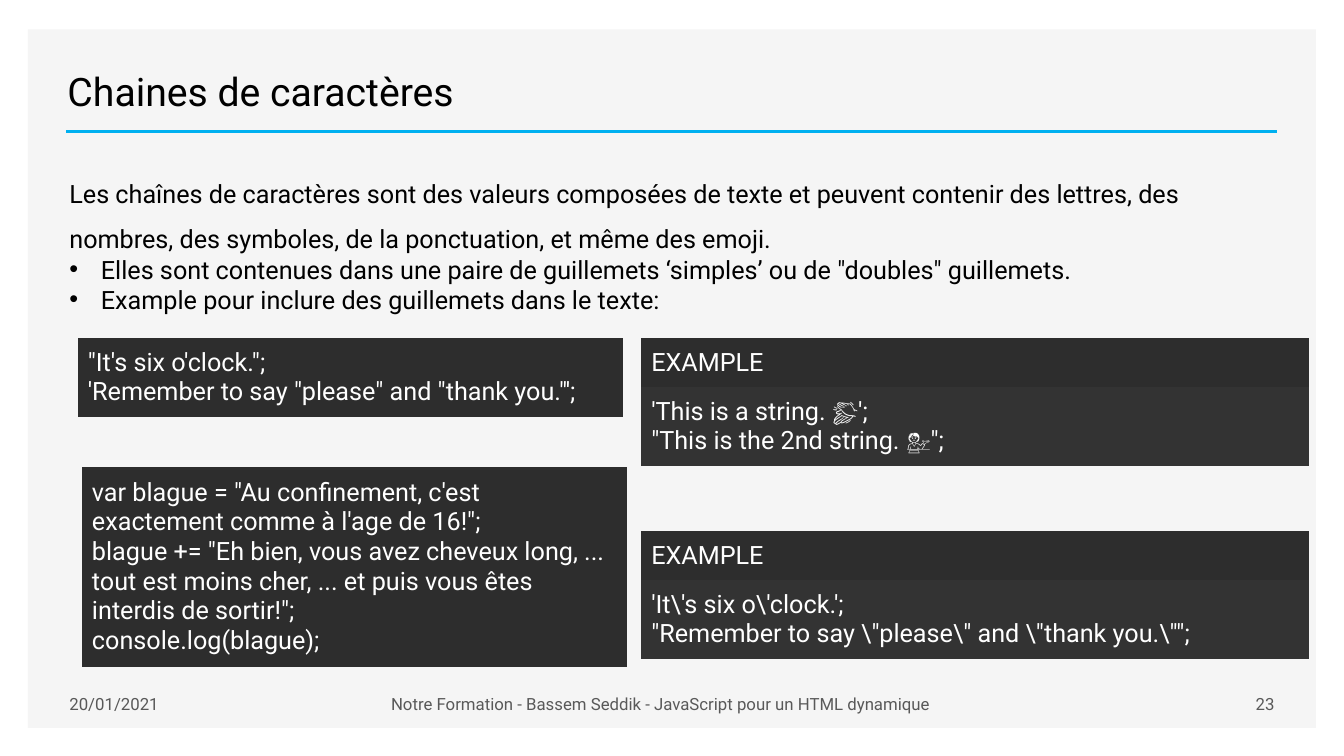
from lxml import etree
from pptx import Presentation
from pptx.dml.color import RGBColor
from pptx.enum.shapes import MSO_CONNECTOR, MSO_SHAPE
from pptx.enum.text import MSO_ANCHOR, MSO_AUTO_SIZE, PP_ALIGN
from pptx.oxml.ns import qn
from pptx.util import Pt

LEFT, MID, RIGHT = PP_ALIGN.LEFT, PP_ALIGN.CENTER, PP_ALIGN.RIGHT
TOP, CENTER, BOTTOM = MSO_ANCHOR.TOP, MSO_ANCHOR.MIDDLE, MSO_ANCHOR.BOTTOM
RECT, LINE = MSO_SHAPE.RECTANGLE, MSO_CONNECTOR.STRAIGHT
NO_FIT = MSO_AUTO_SIZE.NONE

FONT = "Roboto"
PLAIN = "{2D5ABB26-0587-4C30-8999-92F81FD0307C}"
COLORS = {
    "panel": "F5F5F5", "rule": "00B0F0", "ink": "000000", "grey": "595959",
    "white": "FFFFFF", "code": "2D2D2D", "soft": "333333",
}


def tint(name):
    return RGBColor.from_string(COLORS[name])


def write(para, words, size=18, color="ink", align=LEFT, space=1, bullet=False):
    para.text = words
    para.alignment = align
    para.line_spacing = space
    if bullet:
        props = para._p.get_or_add_pPr()
        props.set("marL", str(Pt(22.5)))
        props.set("indent", str(-Pt(22.5)))
        etree.SubElement(props, qn("a:buFont"), typeface="Arial")
        etree.SubElement(props, qn("a:buChar"), char="•")
    for run in para.runs:
        run.font.name = FONT
        run.font.size = Pt(size)
        run.font.color.rgb = tint(color)


def add_box(slide, left, top, width, height, anchor=TOP):
    box = slide.shapes.add_textbox(Pt(left), Pt(top), Pt(width), Pt(height))
    box.text_frame.word_wrap = True
    box.text_frame.vertical_anchor = anchor
    return box.text_frame


def add_head(slide, left, top, width, height):
    """Place the title with its rule, on the grey panel."""
    title = slide.shapes.title
    title.left, title.top = Pt(left), Pt(top)
    title.width, title.height = Pt(width), Pt(height)
    frame = title.text_frame
    frame.auto_size = NO_FIT
    frame.vertical_anchor = BOTTOM
    write(frame.paragraphs[0], "Chaines de caractères", size=28)

    panel = slide.shapes.add_shape(RECT, Pt(20), Pt(21), Pt(920), Pt(499))
    panel.shadow.inherit = False
    panel.fill.solid()
    panel.fill.fore_color.rgb = tint("panel")
    panel.line.fill.background()
    title.element.addprevious(panel.element)

    y = Pt(top + height + 8.5)
    rule = slide.shapes.add_connector(LINE, Pt(left + 6.5), y, Pt(left + width + 6.5), y)
    rule.line.color.rgb = tint("rule")
    rule.line.width = Pt(2)
    etree.SubElement(rule.element.spPr, qn("a:effectLst"))


def add_body(slide, left, top, width, height):
    frame = add_box(slide, left, top, width, height)
    write(frame.paragraphs[0],
          "Les chaînes de caractères sont des valeurs composées de texte et peuvent "
          "contenir des lettres, des nombres, des symboles, de la ponctuation, et même "
          "des emoji.", space=1.5)
    for words in (
        "Elles sont contenues dans une paire de guillemets ‘simples’ ou de "
        '"doubles" guillemets.',
        "Example pour inclure des guillemets dans le texte:",
    ):
        write(frame.add_paragraph(), words, bullet=True)


def add_code(slide, left, top, width, rows):
    """Stack one cell per row; a row is its height, fill and paragraphs."""
    total = sum(row[0] for row in rows)
    frame = slide.shapes.add_table(len(rows), 1, Pt(left), Pt(top), Pt(width), Pt(total))
    table = frame.table
    table.first_row = table.horz_banding = False
    for style in frame.element.iter(qn("a:tableStyleId")):
        style.text = PLAIN
    for i, (height, fill, paras) in enumerate(rows):
        table.rows[i].height = Pt(height)
        cell = table.cell(i, 0)
        cell.fill.solid()
        cell.fill.fore_color.rgb = tint(fill)
        cell.vertical_anchor = CENTER
        cell.margin_left = cell.margin_right = Pt(7.2)
        cell.margin_top = cell.margin_bottom = Pt(6.5)
        text = cell.text_frame
        for j, words in enumerate(paras):
            para = text.add_paragraph() if j else text.paragraphs[0]
            write(para, words, color="white")


def add_foot(slide, left, top, height):
    parts = (
        (121, LEFT, "20/01/2021"),
        (617, MID, "Notre Formation - Bassem Seddik - JavaScript pour un HTML dynamique"),
        (137, RIGHT, "23"),
    )
    for width, align, words in parts:
        frame = add_box(slide, left, top, width, height, CENTER)
        write(frame.paragraphs[0], words, size=12, color="grey", align=align)
        left += width


def main():
    deck = Presentation()
    deck.slide_width, deck.slide_height = Pt(960), Pt(540)
    slide = deck.slides.add_slide(deck.slide_layouts[5])
    add_head(slide, 41, 35.5, 865, 50)
    add_body(slide, 42.5, 113, 875, 120)

    samples = (
        (241.5, "'This is a string. 👏';\n\"This is the 2nd string. 💁\";"),
        (379.5, "'It\\'s six o\\'clock.';\n"
                '"Remember to say \\"please\\" and \\"thank you.\\"";'),
    )
    for top, words in samples:
        add_code(slide, 458, top, 477,
                 [(35, "code", ["EXAMPLE"]), (55.5, "soft", [words])])

    add_code(slide, 55.5, 241.5, 389.5, [(56, "code", [
        "\"It's six o'clock.\";\n'Remember to say \"please\" and \"thank you.\"';"])])
    add_code(slide, 58.5, 333.5, 389.5, [(140, "code", [
        "var blague = \"Au confinement, c'est exactement comme à l'age de 16!\";",
        'blague += "Eh bien, vous avez cheveux long, ... tout est moins cher, '
        '... et puis vous êtes interdis de sortir!";',
        "console.log(blague);"])])
    add_foot(slide, 42.5, 488, 29)
    deck.save("out.pptx")


if __name__ == "__main__":
    main()
